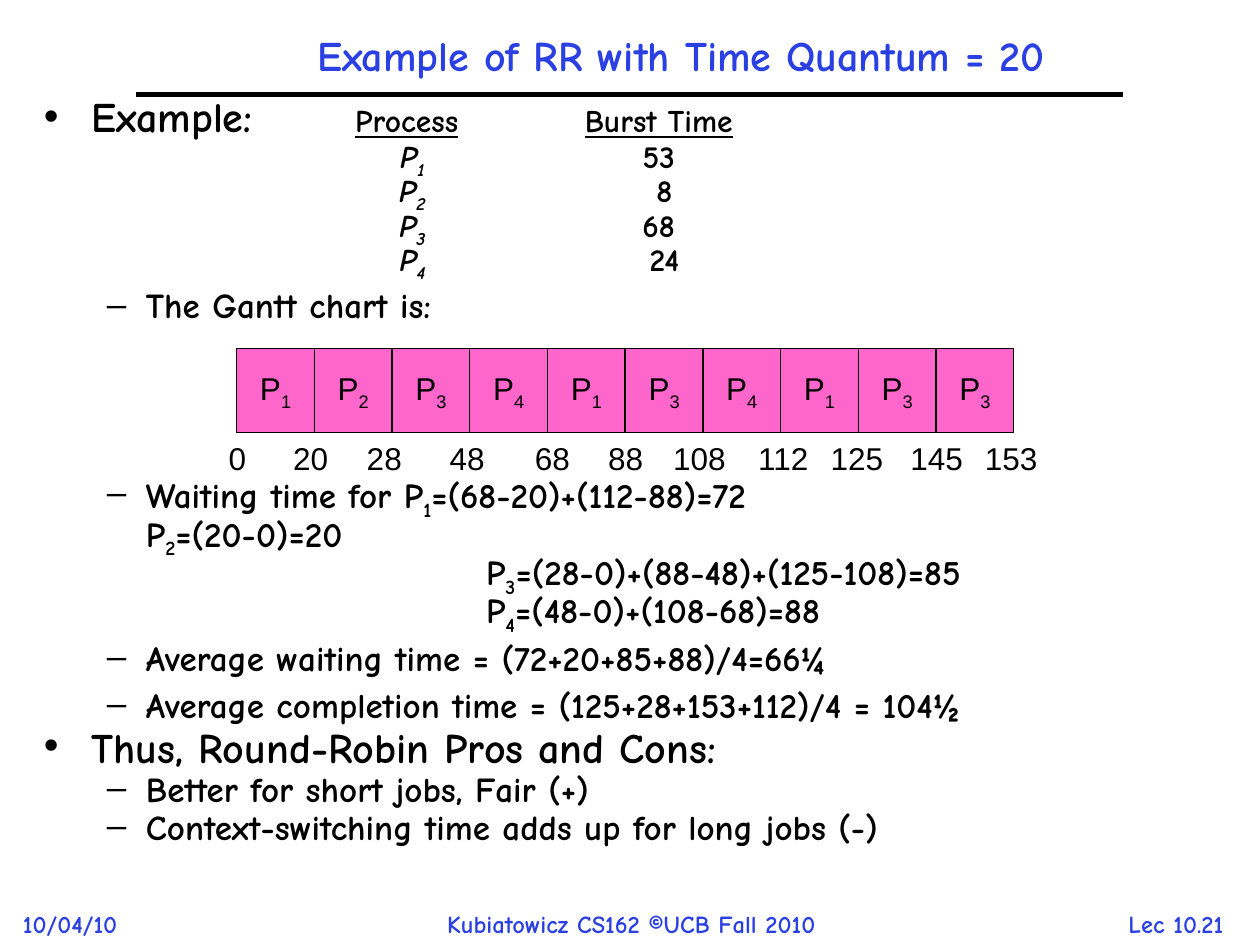
from dataclasses import dataclass
from typing import NamedTuple

from lxml.etree import SubElement
from pptx import Presentation
from pptx.dml.color import RGBColor
from pptx.enum.shapes import MSO_CONNECTOR, MSO_SHAPE
from pptx.enum.text import MSO_ANCHOR, MSO_AUTO_SIZE, PP_ALIGN
from pptx.oxml.ns import qn
from pptx.util import Inches, Pt


@dataclass(frozen=True)
class Theme:
    blue: RGBColor = RGBColor(0x2A, 0x40, 0xE2)
    pink: RGBColor = RGBColor(0xFF, 0x66, 0xCC)
    black: RGBColor = RGBColor(0, 0, 0)
    comic: str = "Comic Neue"
    plain: str = "Arial"
    head: int = 24
    item: int = 20
    small: int = 18
    foot: int = 14


class Box(NamedTuple):
    """A place in grid cells of a twelfth of an inch."""
    col: float
    row: float
    wide: float
    high: float


class Bit(NamedTuple):
    text: str
    size: int | None = None
    sub: bool = False
    slant: bool = False
    under: bool = False


class Item(NamedTuple):
    bits: list[Bit]
    size: int
    mark: str = "–"
    space: float = 7.5
    lead: float = 0.8


LOOK = Theme()
LEFT, MID = PP_ALIGN.LEFT, PP_ALIGN.CENTER
TABS = [(2.88, "ctr"), (3.51, "l"), (4.88, "ctr")]
HANG = {"•": (0.38, 0.38), "–": (0.81, 0.31)}  # margin, hanging indent

BURSTS = ["53", " 8", "68", " 24"]
RUNS = [1, 2, 3, 4, 1, 3, 4, 1, 3, 3]
TIMES = [(0, 22.6), (20, 29.6), (28, 36.6), (48, 44.5), (68, 52.6),
         (88, 59.6), (108, 66.6), (112, 74.6), (125, 81.6),
         (145, 89.2), (153, 96.3)]
GANTT = Box(22.55, 33.2, 7.4, 8)


def cell(count: float) -> int:
    return Inches(count / 12)


def subs(text: str) -> list[Bit]:
    """Split text so that the digit after each underscore is lowered."""
    first, *rest = text.split("_")
    bits = [Bit(first)]
    for part in rest:
        bits.append(Bit(part[0], sub=True))
        if part[1:]:
            bits.append(Bit(part[1:]))
    return bits


def table() -> list[Bit]:
    """Tabbed process and burst time rows."""
    bits = [Bit("Example:", LOOK.head), Bit("\t"), Bit("Process", under=True),
            Bit("\t\t"), Bit("Burst Time", under=True)]
    for num, burst in enumerate(BURSTS, 1):
        bits += [Bit("\n\t "), Bit("P", slant=True),
                 Bit(str(num), sub=True, slant=True), Bit("\t\t" + burst)]
    return bits


def fill(para, bits: list[Bit]) -> None:
    for bit in bits:
        for num, text in enumerate(bit.text.split("\n")):
            if num:
                para.add_line_break()
            if not text:
                continue
            run = para.add_run()
            run.text = text
            if bit.size:
                run.font.size = Pt(bit.size)
            if bit.slant:
                run.font.italic = True
            if bit.under:
                run.font.underline = True
            if bit.sub:
                run.font._element.set("baseline", "-25000")


def style(para, face: str, size: int, color: RGBColor, bold: bool) -> None:
    font = para.font
    font.name, font.size, font.bold = face, Pt(size), bold
    font.color.rgb = color


def label(shapes, box: Box, text: str, size: int, align=MID,
          face=LOOK.comic, color=LOOK.blue, bold=True, anchor=MSO_ANCHOR.TOP):
    """Add a one-line text box that fits its text."""
    frame = shapes.add_textbox(*map(cell, box)).text_frame
    frame.word_wrap = False
    frame.auto_size = MSO_AUTO_SIZE.SHAPE_TO_FIT_TEXT
    frame.vertical_anchor = anchor
    para = frame.paragraphs[0]
    para.alignment = align
    style(para, face, size, color, bold)
    fill(para, [Bit(text)])
    return frame


def bullet(para, mark: str) -> None:
    """Set indent, bullet and tab stops, ahead of the font in the XML."""
    props = para._p.get_or_add_pPr()
    margin, hang = HANG[mark]
    props.set("marL", str(Inches(margin)))
    props.set("indent", str(-Inches(hang)))
    tint = SubElement(props, qn("a:buClr"))
    SubElement(tint, qn("a:srgbClr"), val=str(LOOK.black))
    SubElement(props, qn("a:buFont"), typeface=LOOK.plain)
    SubElement(props, qn("a:buChar"), char=mark)
    stops = SubElement(props, qn("a:tabLst"))
    for pos, align in TABS:
        SubElement(stops, qn("a:tab"), pos=str(Inches(pos)), algn=align)


def body(shapes, box: Box, items: list[Item]) -> None:
    frame = shapes.add_textbox(*map(cell, box)).text_frame
    frame.word_wrap = True
    for num, item in enumerate(items):
        para = frame.add_paragraph() if num else frame.paragraphs[0]
        para.line_spacing = item.lead
        para.space_before = Pt(item.space)
        bullet(para, item.mark)
        style(para, LOOK.comic, item.size, LOOK.black, True)
        fill(para, item.bits)


def gantt(shapes) -> None:
    group = shapes.add_group_shape().shapes
    for num, proc in enumerate(RUNS):
        box = GANTT._replace(col=GANTT.col + num * GANTT.wide)
        slot = group.add_shape(MSO_SHAPE.RECTANGLE, *map(cell, box))
        slot.shadow.inherit = False
        slot.fill.solid()
        slot.fill.fore_color.rgb = LOOK.pink
        slot.line.color.rgb = LOOK.black
        slot.line.width = Pt(0.75)
        frame = slot.text_frame
        frame.word_wrap = False
        frame.vertical_anchor = MSO_ANCHOR.MIDDLE
        para = frame.paragraphs[0]
        para.alignment = MID
        style(para, LOOK.plain, LOOK.small, LOOK.black, False)
        fill(para, subs(f"P_{proc}"))
    for time, mid in TIMES:
        wide = 2.5 + 1.75 * len(str(time))
        label(group, Box(mid - wide / 2, GANTT.row + GANTT.high, wide, 4.8),
              str(time), LOOK.small, face=LOOK.plain, color=LOOK.black,
              bold=False, anchor=MSO_ANCHOR.MIDDLE)


def main() -> None:
    deck = Presentation()
    deck.slide_width, deck.slide_height = cell(120), cell(90)
    shapes = deck.slides.add_slide(deck.slide_layouts[6]).shapes

    label(shapes, Box(102.2, 86, 19.6, 4), "Lec 10.21", LOOK.foot)
    label(shapes, Box(1, 86, 11.4, 4), "10/04/10", LOOK.foot, LEFT)
    label(shapes, Box(41.4, 86, 37.6, 4),
          "Kubiatowicz CS162 ©UCB Fall 2010", LOOK.foot, LEFT)
    rule = shapes.add_connector(MSO_CONNECTOR.STRAIGHT, cell(13), cell(9),
                                cell(107), cell(9))
    rule.line.color.rgb = LOOK.black
    rule.line.width = Pt(3)
    SubElement(rule._element.spPr, qn("a:effectLst"))

    title = label(shapes, Box(12, 0, 105.7, 11),
                  "Example of RR with Time Quantum = 20", LOOK.head,
                  anchor=MSO_ANCHOR.MIDDLE)
    title.auto_size = MSO_AUTO_SIZE.NONE
    title.word_wrap = True
    title.paragraphs[0].line_spacing = 0.9

    waits = subs("Waiting time for \tP_1=(68-20)+(112-88)=72\nP_2=(20-0)=20\n"
                 "\t\tP_3=(28-0)+(88-48)+(125-108)=85\n"
                 "\t\tP_4=(48-0)+(108-68)=88")
    body(shapes, Box(3, 9, 114, 79), [
        Item(table(), LOOK.small, "•", 6.8),
        Item([Bit("The Gantt chart is:")], LOOK.item),
        Item(waits, LOOK.item, space=87.5),
        Item([Bit("Average waiting time = (72+20+85+88)/4=66¼")], LOOK.item),
        Item([Bit("Average completion time = (125+28+153+112)/4 = 104½")],
             LOOK.item),
        Item([Bit("Thus, Round-Robin Pros and Cons:")], LOOK.head, "•", 6, 0.7),
        Item([Bit("Better for short jobs, Fair (+)")], LOOK.item,
             space=5, lead=0.7),
        Item([Bit("Context-switching time adds up for long jobs (-)")],
             LOOK.item, space=5, lead=0.7)])
    gantt(shapes)
    deck.save("out.pptx")


if __name__ == "__main__":
    main()
